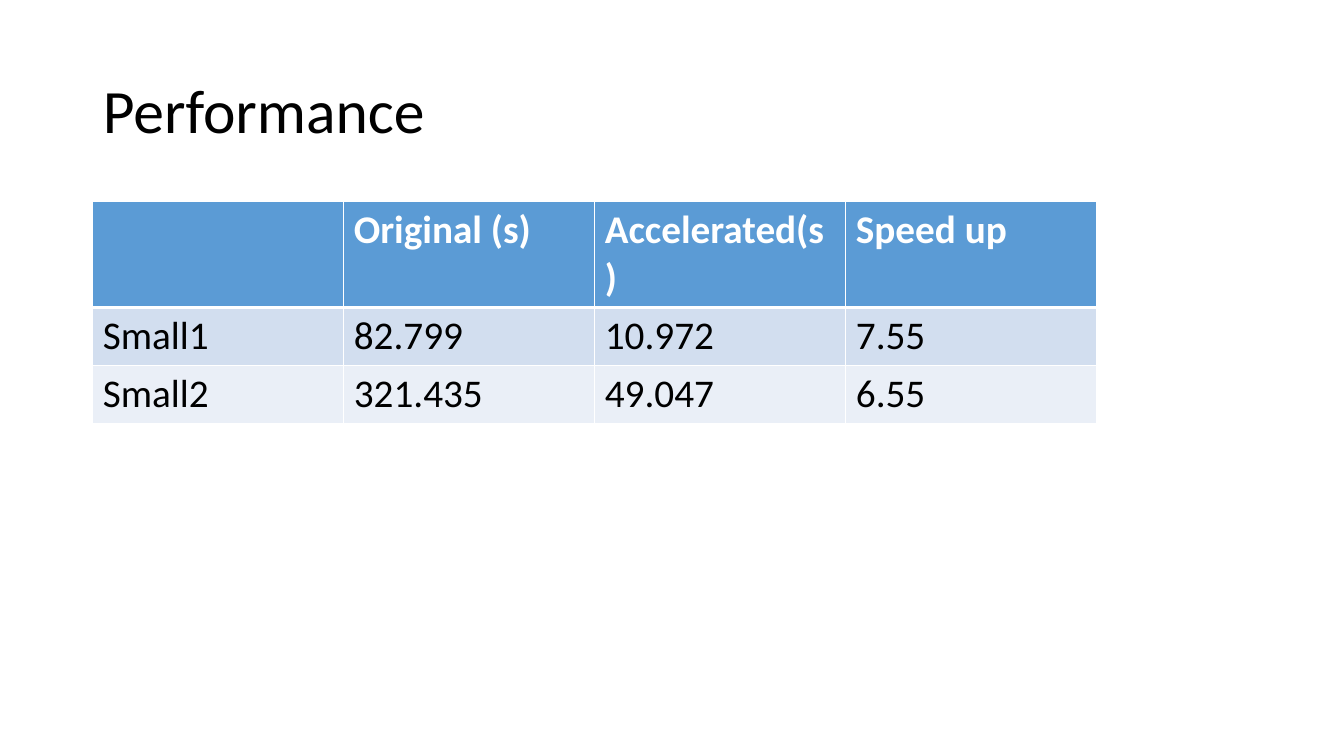
from dataclasses import dataclass

from lxml import etree
from pptx import Presentation
from pptx.dml.color import RGBColor
from pptx.enum.text import MSO_ANCHOR, PP_ALIGN
from pptx.oxml.ns import qn
from pptx.util import Inches, Pt

MIDDLE = MSO_ANCHOR.MIDDLE
LEFT = PP_ALIGN.LEFT


@dataclass(frozen=True)
class Theme:
    font: str = "Calibri"
    title_size: int = 44
    cell_size: int = 28
    ink: str = "000000"
    white: str = "FFFFFF"
    header: str = "5B9BD5"
    bands: tuple = ("D2DEEF", "EAEFF7")
    rule: int = 1
    header_rule: int = 3


THEME = Theme()
RESULTS = [
    ["", "Original (s)", "Accelerated(s)", "Speed up"],
    ["Small1", "82.799", "10.972", "7.55"],
    ["Small2", "321.435", "49.047", "6.55"],
]
ROW_HEIGHTS = [1.05, 0.57, 0.57]


def write_text(tf, text, size, color=THEME.ink, bold=False, spacing=1.0):
    p = tf.paragraphs[0]
    p.alignment = LEFT
    p.line_spacing = spacing
    if not text:
        return
    r = p.add_run()
    r.text = text
    r.font.name = THEME.font
    r.font.size = Pt(size)
    r.font.bold = bold
    r.font.color.rgb = RGBColor.from_string(color)


def set_borders(cell, widths):
    tc_pr = cell._tc.get_or_add_tcPr()
    for side, width in zip("LRTB", widths):
        ln = etree.SubElement(tc_pr, qn(f"a:ln{side}"), w=str(Pt(width)))
        fill = etree.SubElement(ln, qn("a:solidFill"))
        etree.SubElement(fill, qn("a:srgbClr"), val=THEME.white)


def add_title(s, text, left, top, width, height):
    sp = s.shapes.title
    sp.left, sp.top, sp.width, sp.height = map(Inches, (left, top, width, height))
    tf = sp.text_frame
    tf.word_wrap = True
    tf.vertical_anchor = MIDDLE
    write_text(tf, text, THEME.title_size, spacing=0.9)


def add_results(s, data, left, top, width, row_heights):
    columns = len(data[0])
    box = map(Inches, (left, top, width, sum(row_heights)))
    table = s.shapes.add_table(len(data), columns, *box).table
    for column in table.columns:
        column.width = Inches(width / columns)
    for i, (values, height) in enumerate(zip(data, row_heights)):
        table.rows[i].height = Inches(height)
        is_header = i == 0
        fill = THEME.header if is_header else THEME.bands[(i - 1) % len(THEME.bands)]
        top_rule = THEME.header_rule if i == 1 else THEME.rule
        bottom_rule = THEME.header_rule if is_header else THEME.rule
        for j, value in enumerate(values):
            cell = table.cell(i, j)
            set_borders(cell, (THEME.rule, THEME.rule, top_rule, bottom_rule))
            cell.fill.solid()
            cell.fill.fore_color.rgb = RGBColor.from_string(fill)
            write_text(cell.text_frame, value, THEME.cell_size,
                       color=THEME.white if is_header else THEME.ink, bold=is_header)


def main():
    prs = Presentation()
    prs.slide_width, prs.slide_height = Inches(13.33), Inches(7.5)
    s = prs.slides.add_slide(prs.slide_layouts[5])
    margin = 0.92
    add_title(s, "Performance", margin, 0.4, 11.5, 1.45)
    add_results(s, RESULTS, margin, 2, 9.96, ROW_HEIGHTS)
    prs.save("out.pptx")


if __name__ == "__main__":
    main()
